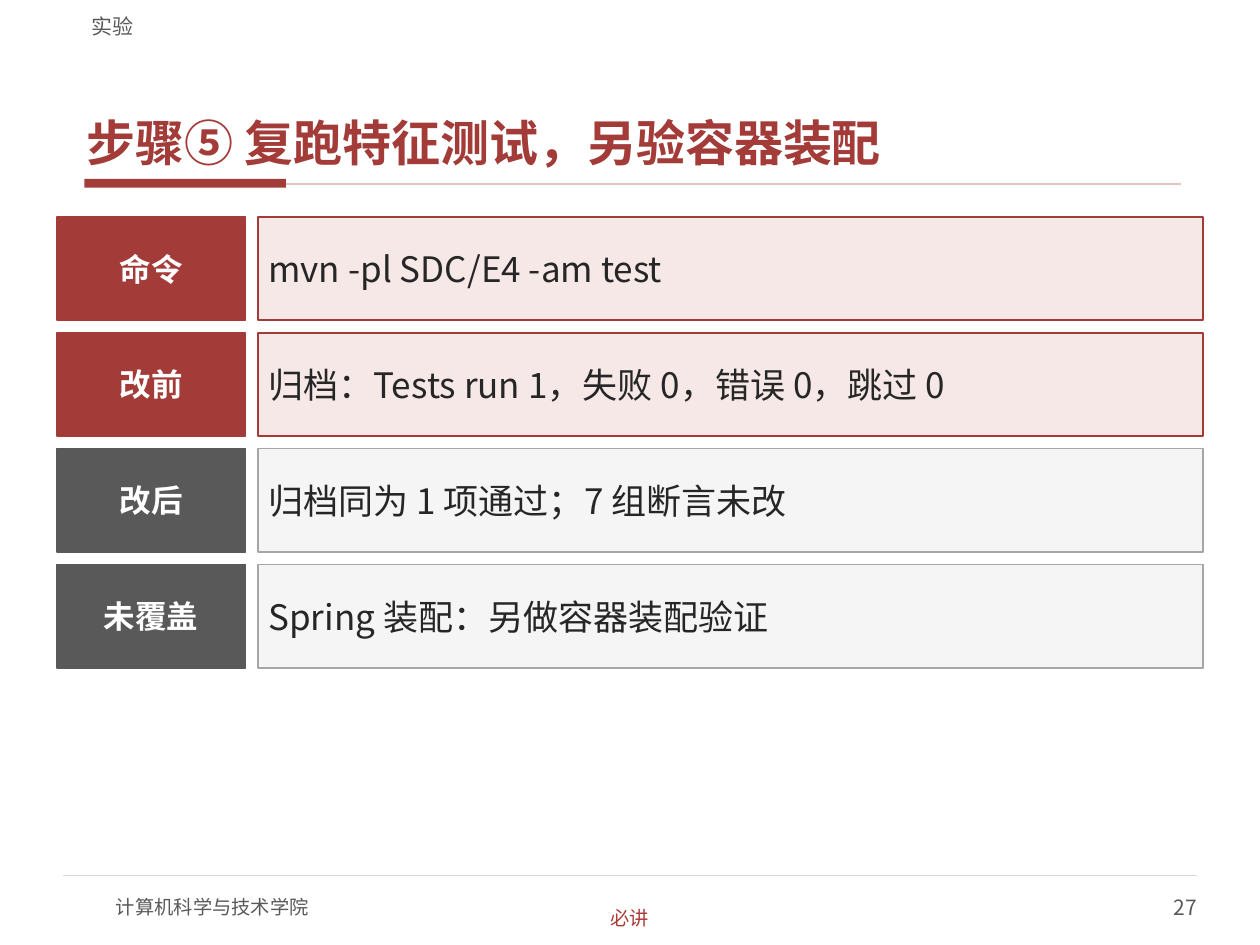
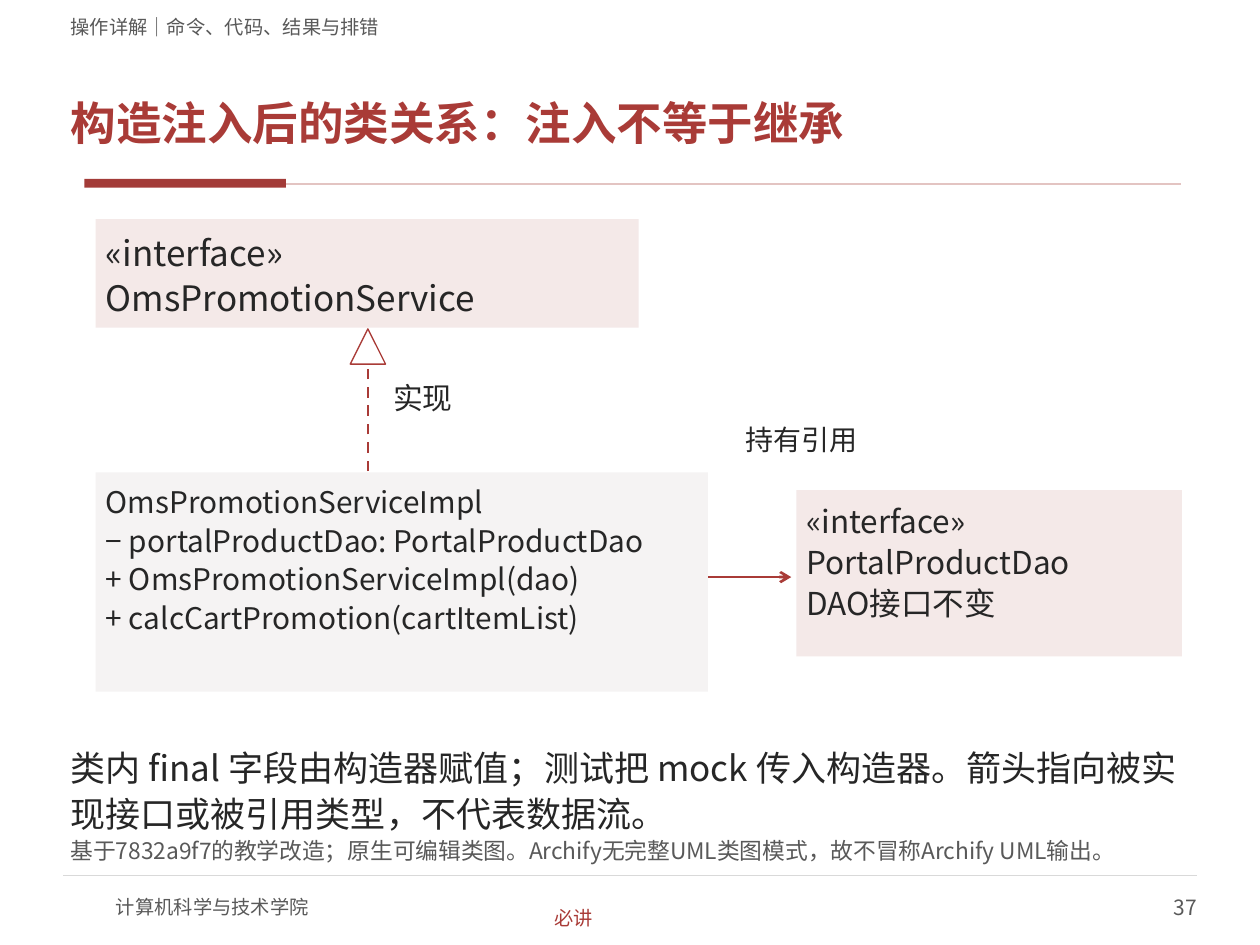
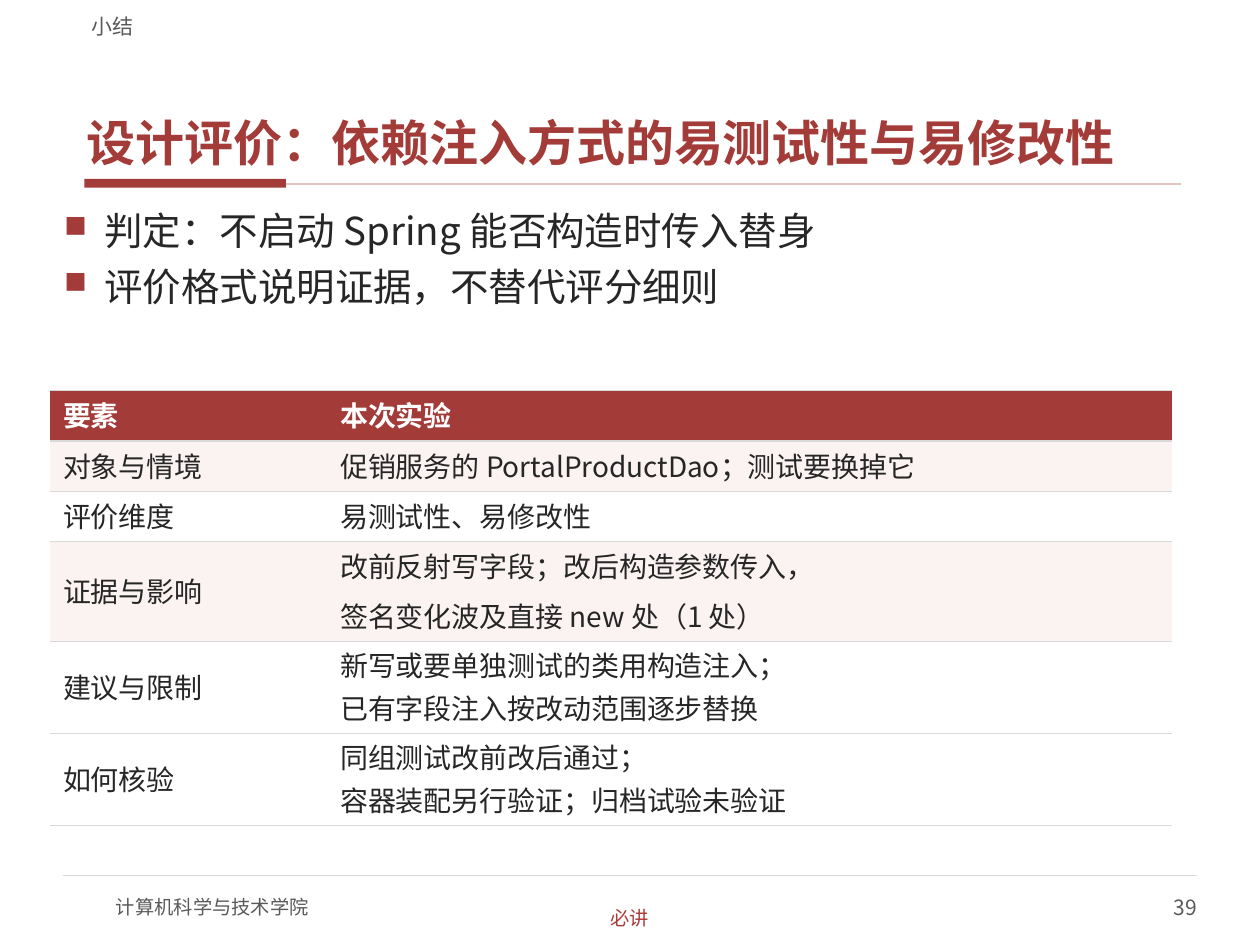
from lxml.etree import SubElement
from pptx import Presentation
from pptx.dml.color import RGBColor
from pptx.enum.dml import MSO_LINE_DASH_STYLE as Dash
from pptx.enum.shapes import MSO_CONNECTOR as Connector, MSO_SHAPE as Preset
from pptx.enum.text import MSO_ANCHOR as Anchor, PP_ALIGN as Align
from pptx.oxml import parse_xml
from pptx.oxml.ns import nsdecls, qn
from pptx.util import Inches, Pt

FONT = "Noto Sans CJK SC"
BRICK, RUST, ROSE, BLUSH, TINT = "A33B38", "A93B37", "F6E8E6", "F4E9E8", "FBF3F2"
INK, GRAY, SILVER, MIST, PEARL, RULE = "262626", "595959", "A6A6A6", "F5F5F5", "F5F3F3", "D9D9D9"
WHITE, PINK = "FFFFFF", "E3C4C2"
TOP, MIDDLE, BOTTOM = Anchor.TOP, Anchor.MIDDLE, Anchor.BOTTOM
LEFT, CENTER, RIGHT = Align.LEFT, Align.CENTER, Align.RIGHT
FLUSH, SLIM, PADDED = (0, 0, 0, 0), (0.06, 0.02, 0.06, 0.02), (0.08, 0.04, 0.08, 0.04)
ROOMY = (0.1, 0.05, 0.1, 0.05)
SIDES = ("margin_left", "margin_top", "margin_right", "margin_bottom")
LOOSE = {"line_spacing": 1.08}
HEADING = {"space_before": Pt(6), "space_after": Pt(2)}
LISTED = {"space_before": Pt(4), "space_after": Pt(2)}
CELL = {"line_spacing": 0.9, **HEADING}

STYLES = {
    "school": (11, GRAY, False, LEFT, MIDDLE, FLUSH, {}),
    "number": (12, GRAY, False, RIGHT, MIDDLE, FLUSH, {}),
    "title": (28, BRICK, True, LEFT, BOTTOM, SLIM, HEADING),
    "section": (12, GRAY, False, LEFT, BOTTOM, (0.1, 0, 0.1, 0), {}),
    "mark": (11, RUST, False, CENTER, MIDDLE, FLUSH, {}),
    "label": (18, WHITE, True, CENTER, MIDDLE, PADDED, {}),
    "finding": (20, INK, False, LEFT, MIDDLE, PADDED, {}),
    "bullets": (22, INK, False, LEFT, TOP, SLIM, LISTED),
    "head cell": (16, WHITE, True, LEFT, MIDDLE, ROOMY, CELL),
    "body cell": (16, INK, False, LEFT, MIDDLE, ROOMY, CELL),
    "long cell": (16, INK, False, LEFT, TOP, ROOMY, CELL),
    "diagram section": (11, GRAY, False, LEFT, TOP, FLUSH, LOOSE),
    "diagram title": (26, RUST, True, LEFT, TOP, FLUSH, LOOSE),
    "diagram mark": (11, RUST, False, LEFT, TOP, FLUSH, LOOSE),
    "explanation": (20, INK, False, LEFT, TOP, FLUSH, LOOSE),
    "source": (13, GRAY, False, LEFT, TOP, FLUSH, LOOSE),
}
for points in (16, 17, 18, 20):
    STYLES[f"relation {points}"] = (points, INK, False, LEFT, TOP, FLUSH, LOOSE)
    STYLES[f"class {points}"] = (points, INK, False, LEFT, TOP, (0.08, 0.07, 0.08, 0), LOOSE)


def paint(fill, color):
    fill.solid()
    fill.fore_color.rgb = RGBColor.from_string(color)


def write(frame, lines, style, holder):
    size, color, bold, align, anchor, insets, spacing = STYLES[style]
    holder.vertical_anchor = anchor
    for side, inset in zip(SIDES, insets):
        setattr(holder, side, Inches(inset))
    for index, line in enumerate(lines):
        paragraph = frame.add_paragraph() if index else frame.paragraphs[0]
        if style == "bullets":
            marker = paragraph._p.get_or_add_pPr()
            marker.set("marL", str(Inches(0.32)))
            marker.set("indent", str(Inches(-0.32)))
            SubElement(SubElement(marker, qn("a:buClr")), qn("a:srgbClr"), val=BRICK)
            SubElement(marker, qn("a:buSzPct"), val="80000")
            SubElement(marker, qn("a:buChar"), char="■")
        for key, value in {"alignment": align, **spacing}.items():
            if index or key != "space_before":
                setattr(paragraph, key, value)
        run = paragraph.add_run()
        run.text = line
        for key, value in {"name": FONT, "size": Pt(size), "bold": bold}.items():
            setattr(run.font, key, value)
        paint(run.font.fill, color)
        SubElement(run._r.get_or_add_rPr(), qn("a:ea"), typeface=FONT)


findings = [
    ("命令", "mvn -pl SDC/E4 -am test", BRICK, ROSE, BRICK),
    ("改前", "归档：Tests run 1，失败 0，错误 0，跳过 0", BRICK, ROSE, BRICK),
    ("改后", "归档同为 1 项通过；7 组断言未改", GRAY, MIST, SILVER),
    ("未覆盖", "Spring 装配：另做容器装配验证", GRAY, MIST, SILVER),
]
test_blocks = []
for row, (label, finding, dark, light, edge) in enumerate(findings):
    top = 1.72 + 0.92 * row
    test_blocks += [
        ((0.45, top, 1.5, 0.82), [label], "label", Preset.RECTANGLE, dark, dark),
        ((2.05, top, 7.5, 0.82), [finding], "finding", Preset.RECTANGLE, light, edge),
    ]

class_blocks = [
    ((0.56, 0.11, 8.89, 0.32), ["操作详解｜命令、代码、结果与排错"], "diagram section"),
    ((0.56, 0.72, 8.89, 0.62), ["构造注入后的类关系：注入不等于继承"], "diagram title"),
    ((4.4, 7.18, 1.19, 0.22), ["必讲"], "diagram mark"),
    ((0.76, 1.74, 4.31, 0.86), ["«interface»", "OmsPromotionService"],
     "class 20", Preset.RECTANGLE, BLUSH),
    ((0.76, 3.75, 4.86, 1.74),
     ["OmsPromotionServiceImpl", "− portalProductDao: PortalProductDao",
      "+ OmsPromotionServiceImpl(dao)", "+ calcCartPromotion(cartItemList)"],
     "class 17", Preset.RECTANGLE, PEARL),
    ((6.32, 3.89, 3.06, 1.32), ["«interface»", "PortalProductDao", "DAO接口不变"],
     "class 18", Preset.RECTANGLE, BLUSH),
    ((2.78, 2.61, 0.28, 0.28), [], "class 16", Preset.ISOSCELES_TRIANGLE, WHITE, RUST, 0.75),
    ((3.12, 2.99, 0.97, 0.35), ["实现"], "relation 17"),
    ((5.92, 3.33, 1.67, 0.36), ["持有引用"], "relation 16"),
    ((0.56, 5.9, 8.89, 0.9),
     ["类内 final 字段由构造器赋值；测试把 mock 传入构造器。箭头指向被实现接口或被引用类型，不代表数据流。"],
     "explanation"),
    ((0.56, 6.62, 8.89, 0.35),
     ["基于7832a9f7的教学改造；原生可编辑类图。Archify无完整UML类图模式，故不冒称Archify UML输出。"],
     "source"),
]
class_links = [
    ((2.92, 3.74, 2.92, 2.89), RUST, 1.5, "dash"),
    ((5.62, 4.58, 6.28, 4.58), RUST, 1.5, "arrow"),
]

verdicts = ["判定：不启动 Spring 能否构造时传入替身", "评价格式说明证据，不替代评分细则"]
verdict_blocks = [((0.45, 1.62, 9.1, 1.4), verdicts, "bullets")]

pages = [
    ("27", "实验", "步骤⑤ 复跑特征测试，另验容器装配", test_blocks, []),
    ("37", None, None, class_blocks, class_links),
    ("39", "小结", "设计评价：依赖注入方式的易测试性与易修改性", verdict_blocks, []),
]

deck = Presentation()
deck.slide_width, deck.slide_height = Inches(10), Inches(7.5)

for number, section, title, blocks, links in pages:
    slide = deck.slides.add_slide(deck.slide_layouts[6])
    shared = [
        ((0.67, 1.42, 1.6, 0.07), [], "school", Preset.RECTANGLE, BRICK),
        ((0.92, 7, 4, 0.4), ["计算机科学与技术学院"], "school"),
        ((7.5, 7, 2, 0.4), [number], "number"),
    ]
    if title:
        shared += [
            ((0.63, 0.33, 8.75, 1.05), [title], "title"),
            ((0.63, 0.04, 8.75, 0.27), [section], "section"),
            ((4.4, 7.18, 1.2, 0.21), ["必讲"], "mark"),
        ]
    rules = [
        ((2.27, 1.46, 9.37, 1.46), PINK, 1, None),
        ((0.5, 6.95, 9.5, 6.95), RULE, 0.75, None),
    ]
    for ends, color, width, kind in rules + links:
        link = slide.shapes.add_connector(Connector.STRAIGHT, *map(Inches, ends))
        paint(link.line.fill, color)
        link.line.width = Pt(width)
        if kind == "dash":
            link.line.dash_style = Dash.DASH
        if kind == "arrow":
            SubElement(link.line._get_or_add_ln(), qn("a:tailEnd"), type="arrow")
        SubElement(link._element.spPr, qn("a:effectLst"))

    for place, lines, style, *look in shared + blocks:
        place = map(Inches, place)
        if look:
            preset, fill, edge, width = look + [None, 1][len(look) - 2:]
            block = slide.shapes.add_shape(preset, *place)
            block.shadow.inherit = False
            paint(block.fill, fill)
            if edge:
                paint(block.line.fill, edge)
                block.line.width = Pt(width)
            else:
                block.line.fill.background()
        else:
            block = slide.shapes.add_textbox(*place)
        block.text_frame.word_wrap = style != "mark"
        write(block.text_frame, lines, style, block.text_frame)

criteria = [
    (0.4, BRICK, "要素", ["本次实验"]),
    (0.4, TINT, "对象与情境", ["促销服务的 PortalProductDao；测试要换掉它"]),
    (0.4, WHITE, "评价维度", ["易测试性、易修改性"]),
    (0.79, TINT, "证据与影响", ["改前反射写字段；改后构造参数传入，", "签名变化波及直接 new 处（1 处）"]),
    (0.73, WHITE, "建议与限制", ["新写或要单独测试的类用构造注入；", "已有字段注入按改动范围逐步替换"]),
    (0.73, WHITE, "如何核验", ["同组测试改前改后通过；", "容器装配另行验证；归档试验未验证"]),
]
evaluation = slide.shapes.add_table(
    len(criteria), 2, *map(Inches, (0.4, 3.1, 8.9, 3.45))).table
evaluation.first_row = evaluation.horz_banding = False
for column, width in zip(evaluation.columns, (2.2, 6.7)):
    column.width = Inches(width)

hairline = f'<a:solidFill><a:srgbClr val="{RULE}"/></a:solidFill>'
borders = [("lnL", "<a:noFill/>"), ("lnR", "<a:noFill/>"), ("lnT", hairline), ("lnB", hairline)]
for row, (height, fill, element, remarks) in enumerate(criteria):
    evaluation.rows[row].height = Inches(height)
    for column, lines in enumerate(([element], remarks)):
        cell = evaluation.cell(row, column)
        style = "head cell" if row == 0 else "long cell" if len(lines) > 1 else "body cell"
        write(cell.text_frame, lines, style, cell)
        paint(cell.fill, fill)
        for order, (tag, stroke) in enumerate(borders):
            border = parse_xml(f'<a:{tag} {nsdecls("a")} w="{Pt(0.75)}">{stroke}</a:{tag}>')
            cell._tc.get_or_add_tcPr().insert(order, border)

for row in (4, 5):
    closing = evaluation.cell(row, 1).text_frame.paragraphs[1]
    for key in CELL:
        setattr(closing, key, None)

deck.save("out.pptx")
